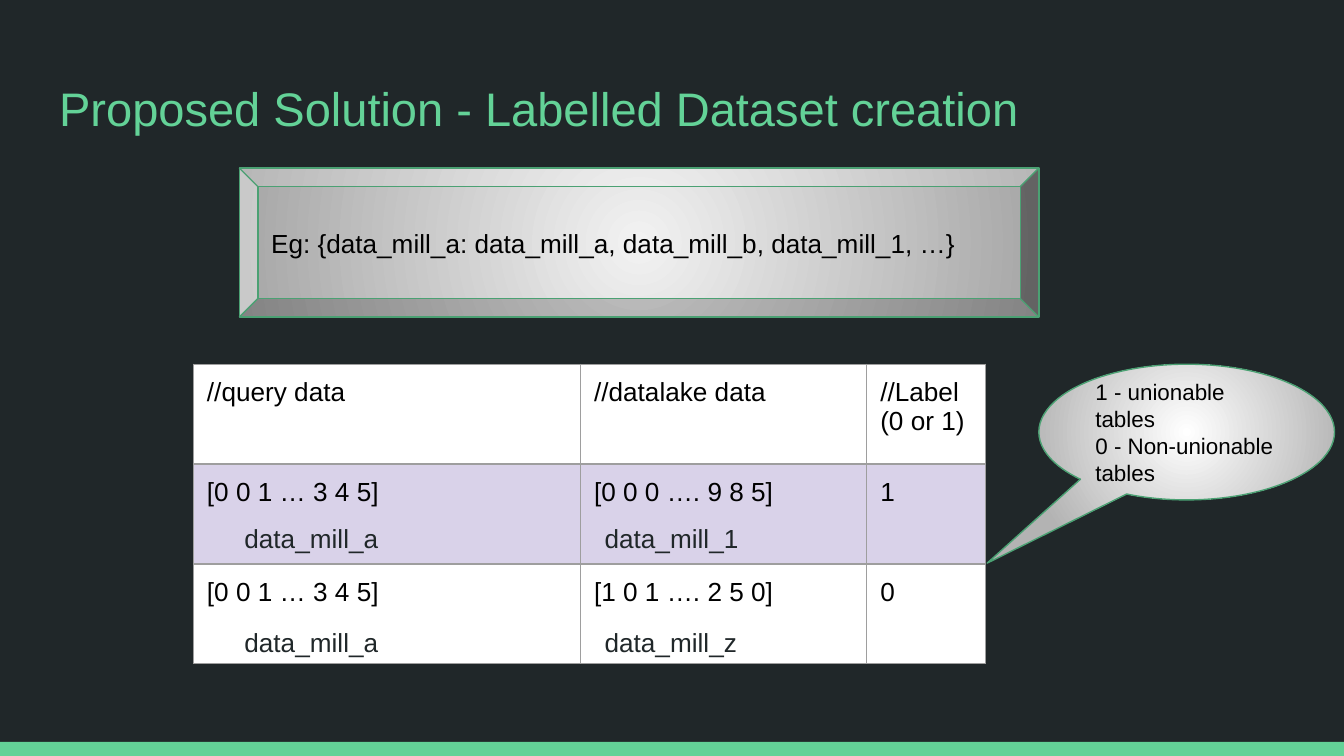
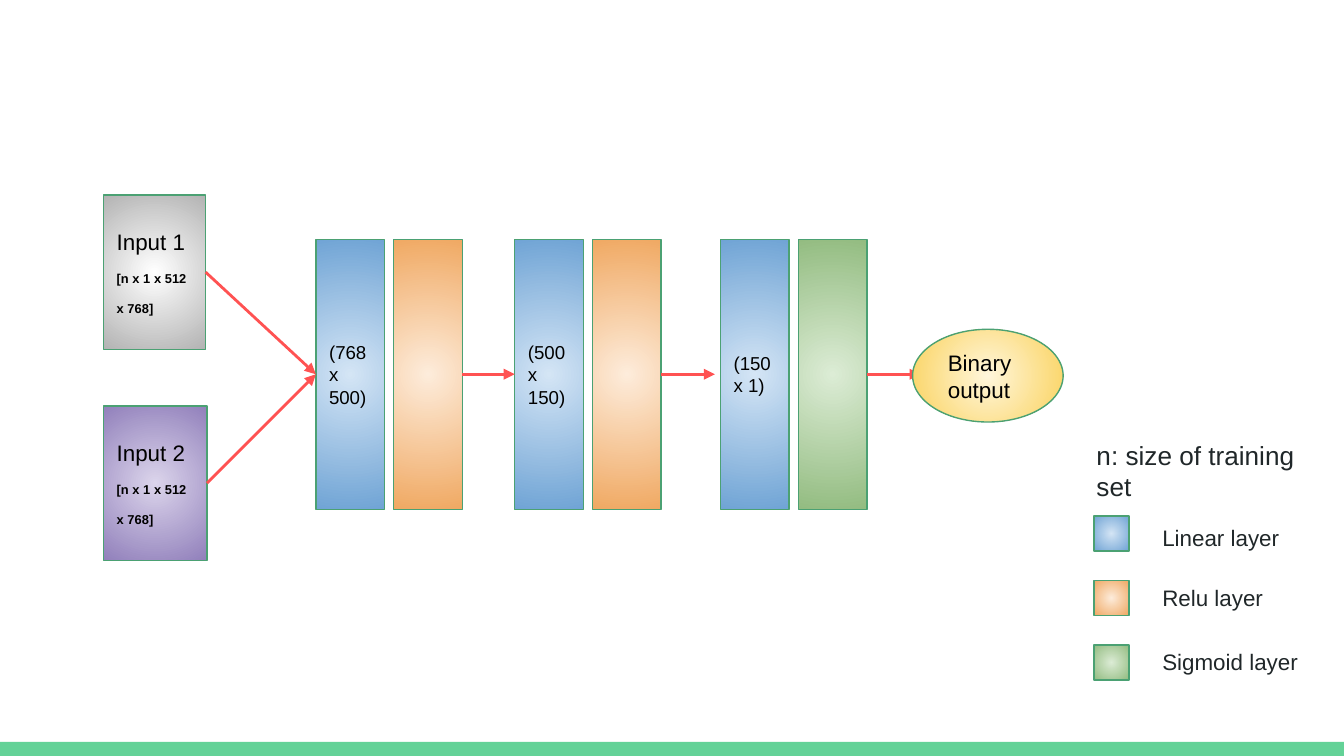
import dataclasses
import typing

import lxml.etree
import pptx
import pptx.dml.color
import pptx.enum.dml
import pptx.enum.shapes
import pptx.enum.text
import pptx.oxml.ns
import pptx.presentation
import pptx.shapes.autoshape
import pptx.slide
import pptx.table
import pptx.util

Inches = pptx.util.Inches
Pt = pptx.util.Pt
Kind = pptx.enum.shapes.MSO_SHAPE
Shape = pptx.shapes.autoshape.Shape
Slide = pptx.slide.Slide
qn = pptx.oxml.ns.qn

FONT = "Arial"
DARK, MINT, EDGE = "202729", "63D297", "4BA173"
BLACK, WHITE, LILAC = "000000", "FFFFFF", "D9D2E9"
RED, GRAY = "FF5252", "9E9E9E"
MARGINS = {f"margin_{side}": Inches(0.1) for side in ("left", "top", "right", "bottom")}
FRAME = {**MARGINS, "word_wrap": True}


class Glow(typing.NamedTuple):
    """Radial fill, from the centre to the rim."""
    core: str
    rim: str


SILVER = Glow("FFFFFF", "B3B3B3")
STEEL = Glow("F2F2F2", "A6A6A6")
PURPLE = Glow("DBD4EB", "9180BB")
BLUE = Glow("D4E5F5", "70A4D5")
ORANGE = Glow("FDECDB", "F0A963")
GREEN = Glow("DCECD5", "93BC81")
YELLOW = Glow("FFF6DB", "FAD25C")


class Box(typing.NamedTuple):
    left: float
    top: float
    width: float
    height: float

    def inches(self) -> list[int]:
        return [Inches(size) for size in self]


@dataclasses.dataclass
class Node:
    box: Box
    glow: Glow
    lines: tuple[str, ...] = ()
    size: float = 12
    kind: Kind = Kind.RECTANGLE


class Input(typing.NamedTuple):
    name: str
    top: float
    width: float
    glow: Glow


class Stage(typing.NamedTuple):
    left: float
    shape: str
    glow: Glow


class Key(typing.NamedTuple):
    name: str
    top: float
    glow: Glow


INPUTS = [Input("Input 1", 1.45, 0.76, SILVER), Input("Input 2", 3.02, 0.77, PURPLE)]
STAGES = [
    Stage(2.35, "(768 x 500)", ORANGE),
    Stage(3.83, "(500 x 150)", ORANGE),
    Stage(5.36, "(150 x 1)", GREEN),
]
KEYS = [
    Key("Linear layer", 3.8, BLUE),
    Key("Relu layer", 4.25, ORANGE),
    Key("Sigmoid layer", 4.72, GREEN),
]
WIDTHS = (2.88, 2.13, 0.88)
ROWS = [
    ("//query data", "//datalake data", "//Label (0 or 1)"),
    ("[0 0 1 … 3 4 5]", "[0 0 0 …. 9 8 5]", "1"),
    ("[0 0 1 … 3 4 5]", "[1 0 1 …. 2 5 0]", "0"),
]
NAMES = [("data_mill_a", "data_mill_1"), ("data_mill_a", "data_mill_z")]


def color(code: str) -> pptx.dml.color.RGBColor:
    return pptx.dml.color.RGBColor.from_string(code)


def assign(target: typing.Any, values: dict[str, typing.Any]) -> None:
    for name, value in values.items():
        setattr(target, name, value)


def paint(fill: typing.Any, code: str) -> None:
    fill.solid()
    fill.fore_color.rgb = color(code)


def write(frame: typing.Any, lines: typing.Sequence[str], size: float, code: str) -> None:
    for i, line in enumerate(lines):
        para = frame.paragraphs[0] if i == 0 else frame.add_paragraph()
        para.alignment = pptx.enum.text.PP_ALIGN.LEFT
        run = para.add_run()
        run.text = line
        assign(run.font, {"name": FONT, "size": Pt(size)})
        run.font.color.rgb = color(code)


def shade(shape: Shape, glow: Glow) -> None:
    shape.fill.gradient()
    for stop, code in zip(shape.fill.gradient_stops, glow):
        stop.color.rgb = color(code)
    grad = shape.element.spPr.find(qn("a:gradFill"))
    grad.remove(grad.find(qn("a:lin")))
    circle = lxml.etree.SubElement(grad, qn("a:path"), path="circle")
    lxml.etree.SubElement(circle, qn("a:fillToRect"), l="50000", t="50000", r="50000", b="50000")


def draw(slide: Slide, node: Node) -> Shape:
    shape = slide.shapes.add_shape(node.kind, *node.box.inches())
    shape.shadow.inherit = False
    shade(shape, node.glow)
    shape.line.color.rgb = color(EDGE)
    shape.line.width = Pt(0.75)
    assign(shape.text_frame, FRAME)
    write(shape.text_frame, node.lines, node.size, BLACK)
    return shape


def label(slide: Slide, box: Box, text: str, size: float) -> None:
    frame = slide.shapes.add_textbox(*box.inches()).text_frame
    assign(frame, {**FRAME, "auto_size": pptx.enum.text.MSO_AUTO_SIZE.SHAPE_TO_FIT_TEXT})
    write(frame, [text], size, DARK)


def arrow(slide: Slide, start: Shape, end: Shape | None = None) -> None:
    """Lead to the left side of end, or a short way to the right without one."""
    left = start.left + start.width
    mid = start.top + start.height // 2
    link = slide.shapes.add_connector(
        pptx.enum.shapes.MSO_CONNECTOR.STRAIGHT, left, mid, left + Inches(0.4), mid)
    link.begin_connect(start, 3)
    if end is not None:
        link.end_connect(end, 1)
    link.line.color.rgb = color(RED)
    link.line.width = Pt(1.5)
    props = link.element.spPr
    lxml.etree.SubElement(props.find(qn("a:ln")), qn("a:tailEnd"), type="triangle")
    lxml.etree.SubElement(props, qn("a:effectLst"))


def border(cell: pptx.table._Cell) -> None:
    props = cell._tc.get_or_add_tcPr()
    for i, side in enumerate(("lnL", "lnR", "lnT", "lnB")):
        line = lxml.etree.Element(qn(f"a:{side}"), w=str(Pt(0.75)))
        fill = lxml.etree.SubElement(line, qn("a:solidFill"))
        lxml.etree.SubElement(fill, qn("a:srgbClr"), val=GRAY)
        props.insert(i, line)


def grid(slide: Slide) -> None:
    box = Box(1.44, 2.71, sum(WIDTHS), 2.23)
    table = slide.shapes.add_table(len(ROWS), len(WIDTHS), *box.inches()).table
    assign(table, {"first_row": False, "horz_banding": False})
    for column, width in zip(table.columns, WIDTHS):
        column.width = Inches(width)
    for r, row in enumerate(ROWS):
        for c, text in enumerate(row):
            cell = table.cell(r, c)
            assign(cell, MARGINS)
            paint(cell.fill, LILAC if r % 2 else WHITE)
            border(cell)
            write(cell.text_frame, [text], 14, BLACK)


def add_band(deck: pptx.presentation.Presentation, slide: Slide) -> None:
    """Draw the bottom band and move it to the master, so all slides show it."""
    band = slide.shapes.add_shape(Kind.RECTANGLE, *Box(0, 5.52, 10, 0.11).inches())
    band.shadow.inherit = False
    paint(band.fill, MINT)
    band.line.fill.background()
    band.element.nvSpPr.cNvPr.set("id", "99")
    deck.slide_master.element.cSld.spTree.append(band.element)


def add_slide(deck: pptx.presentation.Presentation, layout: str, back: str) -> Slide:
    slide = deck.slides.add_slide(deck.slide_layouts.get_by_name(layout))
    paint(slide.background.fill, back)
    return slide


def dataset(slide: Slide) -> None:
    title = slide.shapes.title
    assign(title, dict(zip(("left", "top", "width", "height"),
                           Box(0.34, 0.49, 9.32, 0.63).inches())))
    middle = pptx.enum.text.MSO_ANCHOR.MIDDLE
    assign(title.text_frame, {**FRAME, "vertical_anchor": middle})
    write(title.text_frame, ["Proposed Solution - Labelled Dataset creation"], 25.2, MINT)

    grid(slide)
    sample = "Eg: {data_mill_a: data_mill_a, data_mill_b, data_mill_1, …}"
    draw(slide, Node(Box(1.78, 1.25, 5.95, 1.11), STEEL, (sample,), 14, Kind.BEVEL))
    for top, names in zip((3.79, 4.56), NAMES):
        for left, name in zip((1.72, 4.4), names):
            label(slide, Box(left, top, 1.41, 0.44), name, 14)
    notes = ("1 - unionable tables", "0 - Non-unionable tables")
    bubble = draw(slide, Node(Box(7.73, 2.71, 2.2, 1.01), SILVER, notes, 12, Kind.OVAL_CALLOUT))
    for i, shift in enumerate((-0.675, 0.966)):
        bubble.adjustments[i] = shift


def network(slide: Slide) -> None:
    sources = []
    for name, top, width, glow in INPUTS:
        box = Box(0.77, top, width, 1.15)
        source = draw(slide, Node(box, glow, (name, "[n x 1 x 512 x 768]")))
        run = source.text_frame.paragraphs[1].runs[0]
        run.font.bold = True
        run._r.get_or_add_rPr().set("baseline", "-25000")
        sources.append(source)

    for left, text, glow in STAGES:
        box = Box(left, 1.78, 0.51, 2.01)
        linear = draw(slide, Node(box, BLUE, (text,), 10))
        last = left == STAGES[-1].left
        for source in sources:
            # The arrow into the last stage stops just short of it.
            arrow(slide, source, None if last else linear)
        sources = [draw(slide, Node(box._replace(left=left + 0.58), glow))]
    arrow(slide, sources[0])
    draw(slide, Node(Box(6.79, 2.45, 1.12, 0.69), YELLOW, ("Binary output",), kind=Kind.OVAL))

    for i, (name, top, glow) in enumerate(KEYS):
        draw(slide, Node(Box(8.14, 3.84 + 0.48 * i, 0.26, 0.26), glow))
        label(slide, Box(8.55, top, 1.26, 0.4), name, 12)
    label(slide, Box(8.06, 3.17, 1.68, 0.67), "n: size of training set", 14)


def main() -> None:
    deck = pptx.Presentation()
    deck.slide_width = Inches(10)
    deck.slide_height = deck.slide_width * 9 // 16
    first = add_slide(deck, "Title Only", DARK)
    add_band(deck, first)
    dataset(first)
    network(add_slide(deck, "Blank", WHITE))
    deck.save("out.pptx")


if __name__ == "__main__":
    main()
